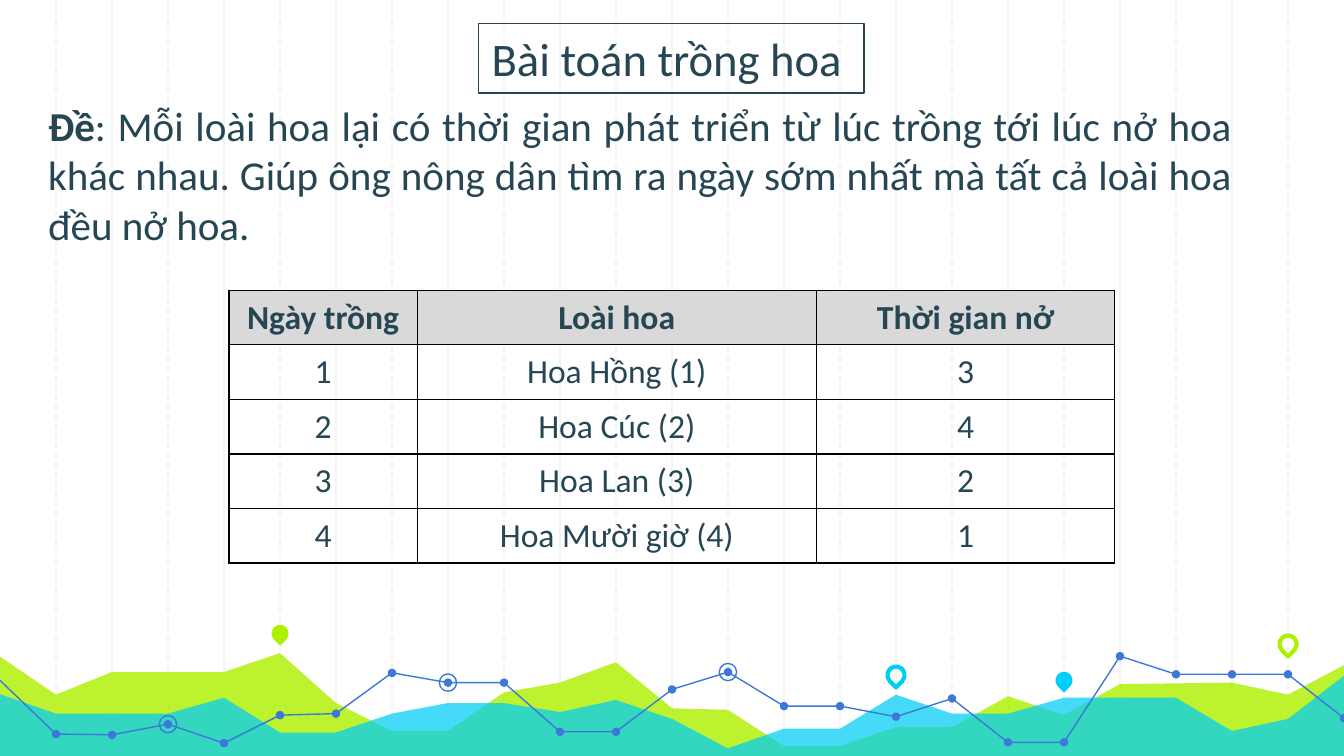
from dataclasses import dataclass

import pptx
import pptx.dml.color
import pptx.enum.dml
import pptx.enum.shapes
import pptx.enum.text
import pptx.oxml
import pptx.oxml.ns
import pptx.util
from pptx.enum.shapes import MSO_SHAPE
from pptx.enum.text import PP_ALIGN

RGBColor = pptx.dml.color.RGBColor
INK = RGBColor(0x26, 0x46, 0x53)
LIME = RGBColor(0xAF, 0xF0, 0x00)
CYAN = RGBColor(0x00, 0xCE, 0xF6)
BLUE = RGBColor(0x3C, 0x78, 0xD8)
GRID_GREY = RGBColor(0xF3, 0xF3, 0xF3)
HEADER_GREY = RGBColor(0xD9, 0xD9, 0xD9)

WIDTH, HEIGHT = pptx.util.Inches(10), pptx.util.Inches(5.625)
COLUMNS, ROWS = 24, 100
OVERHANG = 0.05  # columns that the landscape runs past each edge


@dataclass
class Ridge:
    color: RGBColor
    opacity: int
    points: list[tuple[float, float]]


@dataclass
class Marker:
    column: float
    row: float
    color: RGBColor
    size: float = 0.31
    preset: MSO_SHAPE = MSO_SHAPE.TEAR
    rotation: float = 135
    outline: float = 0  # points; 0 means a filled marker


RIDGES = [
    Ridge(LIME, 82, [
        (-OVERHANG, 86.6), (1, 91.9), (2, 88.9), (4, 88.9), (5, 86.4), (6, 93), (7, 96.7),
        (8, 96.7), (9, 91.6), (10, 90.3), (11, 87.6), (12, 93.7), (13, 93.9), (14, 98.7),
        (15, 98.7), (16, 96.2), (17, 96.2), (18, 92.1), (19, 94.6), (20, 90.5), (22, 90.3),
        (23, 91.9), (COLUMNS + OVERHANG, 87.8)]),
    Ridge(CYAN, 73, [
        (-OVERHANG, 91.7), (1, 94.4), (3, 94.4), (4, 92.3), (5, 96.9), (6, 96.9), (7, 94.4),
        (8, 93), (9, 93), (10, 94.2), (11, 92.6), (12, 95.1), (13, 99), (14, 96.4),
        (15, 96.4), (16, 91.9), (17, 94.4), (18, 94.4), (19, 92.3), (21, 92.3), (22, 96.7),
        (23, 95.1), (COLUMNS + OVERHANG, 89.1)]),
]
# Row of the blue line at each grid column
LINE_ROWS = [90, 97.1, 97.2, 95.8, 98.3, 94.6, 94.4, 89, 90.3, 90.3, 96.8, 96.8, 91.2,
             88.9, 93.4, 93.4, 94.8, 92.4, 98.2, 98.2, 86.8, 89.2, 89.2, 89.2, 95]
LINE_SECTIONS = [(0, 11), (11, 20), (20, 24)]
RINGED_COLUMNS = [3, 8, 13]
PINS = [
    Marker(5, 83.8, LIME),
    Marker(16, 89.3, CYAN, outline=2.25),
    Marker(19, 90, CYAN),
    Marker(23, 85.2, LIME, outline=2.25),
]
TABLE_COLUMNS = [3.36, 7.13, 5.33]
TABLE_ROW = 7.22
TABLE_TEXT = [
    ("Ngày trồng", "Loài hoa", "Thời gian nở"),
    ("1", "Hoa Hồng (1)", "3"),
    ("2", "Hoa Cúc (2)", "4"),
    ("3", "Hoa Lan (3)", "2"),
    ("4", "Hoa Mười giờ (4)", "1"),
]


def across(columns: float) -> int:
    return round(WIDTH * columns / COLUMNS)


def down(rows: float) -> int:
    return round(HEIGHT * rows / ROWS)


def add_text(paragraph, text: str, *, size: float, bold: bool = False,
             align: PP_ALIGN = PP_ALIGN.LEFT) -> None:
    paragraph.alignment = align
    run = paragraph.add_run()
    run.text = text
    run.font.name = "Calibri"
    run.font.size = pptx.util.Pt(size)
    run.font.bold = bold
    run.font.color.rgb = INK


def draw_grid_lines(slide) -> None:
    """Solid lines on even columns, dashed ones on odd columns."""
    for column in [*range(2, COLUMNS, 2), *range(1, COLUMNS, 2)]:
        connector = slide.shapes.add_connector(
            pptx.enum.shapes.MSO_CONNECTOR.STRAIGHT, across(column), 0, across(column), HEIGHT)
        connector.line.color.rgb = GRID_GREY
        connector.line.width = pptx.util.Pt(0.75)
        if column % 2:
            connector.line.dash_style = pptx.enum.dml.MSO_LINE.DASH
        connector.element.spPr.append(pptx.oxml.parse_xml(
            f'<a:effectLst {pptx.oxml.ns.nsdecls("a")}/>'))


def draw_freeform(slide, points: list[tuple[float, float]], close: bool):
    start, *others = [(across(column), down(row)) for column, row in points]
    builder = slide.shapes.build_freeform(*start, scale=1)
    builder.add_line_segments(others, close=close)
    shape = builder.convert_to_shape()
    shape.shadow.inherit = False
    return shape


def draw_ridge(slide, ridge: Ridge) -> None:
    base = [(COLUMNS + OVERHANG, ROWS), (-OVERHANG, ROWS)]
    shape = draw_freeform(slide, ridge.points + base, close=True)
    shape.line.fill.background()
    shape.fill.solid()
    shape.fill.fore_color.rgb = ridge.color
    color = shape.element.spPr.find(pptx.oxml.ns.qn("a:solidFill"))[0]
    color.append(pptx.oxml.parse_xml(
        f'<a:alpha {pptx.oxml.ns.nsdecls("a")} val="{ridge.opacity * 1000}"/>'))


def draw_blue_line(slide, first: int, last: int) -> None:
    points = [(column, LINE_ROWS[column]) for column in range(first, last + 1)]
    shape = draw_freeform(slide, points, close=False)
    shape.fill.background()
    shape.line.color.rgb = BLUE
    shape.line.width = pptx.util.Pt(0.75)


def draw_marker(slide, marker: Marker) -> None:
    size = across(marker.size)
    shape = slide.shapes.add_shape(
        marker.preset, across(marker.column) - size // 2, down(marker.row) - size // 2, size, size)
    shape.rotation = marker.rotation
    shape.shadow.inherit = False
    if marker.outline:
        shape.fill.background()
        shape.line.color.rgb = marker.color
        shape.line.width = pptx.util.Pt(marker.outline)
    else:
        shape.fill.solid()
        shape.fill.fore_color.rgb = marker.color
        shape.line.fill.background()


def place_placeholder(slide, shape, column: float, row: float, columns: float, rows: float):
    """Move a placeholder above the drawing and return its first paragraph."""
    slide.shapes.element.append(shape.element)
    shape.left, shape.top = across(column), down(row)
    shape.width, shape.height = across(columns), down(rows)
    frame = shape.text_frame
    frame.word_wrap = True
    frame.auto_size = pptx.enum.text.MSO_AUTO_SIZE.NONE
    frame.vertical_anchor = pptx.enum.text.MSO_ANCHOR.TOP
    paragraph = frame.paragraphs[0]
    paragraph.space_before = pptx.util.Pt(0)
    return paragraph


def draw_table(slide) -> None:
    table = slide.shapes.add_table(
        len(TABLE_TEXT), len(TABLE_COLUMNS), across(4.09), down(38.4),
        across(sum(TABLE_COLUMNS)), down(TABLE_ROW * len(TABLE_TEXT))).table
    table.first_row = table.horz_banding = False
    for column, width in zip(table.columns, TABLE_COLUMNS):
        column.width = across(width)
    for index, (row, texts) in enumerate(zip(table.rows, TABLE_TEXT)):
        row.height = down(TABLE_ROW)
        header = index == 0
        for cell, text in zip(row.cells, texts):
            add_text(cell.text_frame.paragraphs[0], text, size=18, bold=header,
                     align=PP_ALIGN.CENTER)
            if header:
                cell.fill.solid()
                cell.fill.fore_color.rgb = HEADER_GREY
            else:
                cell.fill.background()
            properties = cell._tc.get_or_add_tcPr()
            for position, side in enumerate(("lnL", "lnR", "lnT", "lnB")):
                properties.insert(position, pptx.oxml.parse_xml(
                    f'<a:{side} {pptx.oxml.ns.nsdecls("a")} w="9525"><a:solidFill>'
                    f'<a:srgbClr val="000000"/></a:solidFill></a:{side}>'))


def main() -> None:
    presentation = pptx.Presentation()
    presentation.slide_width, presentation.slide_height = WIDTH, HEIGHT
    slide = presentation.slides.add_slide(presentation.slide_layouts[1])
    title, body = slide.shapes.title, slide.placeholders[1]

    draw_grid_lines(slide)
    for ridge in RIDGES:
        draw_ridge(slide, ridge)
    for first, last in LINE_SECTIONS:
        draw_blue_line(slide, first, last)
    dots = [Marker(column, row, BLUE, 0.15, MSO_SHAPE.OVAL, 0)
            for column, row in enumerate(LINE_ROWS) if column > 0]
    rings = [Marker(column, LINE_ROWS[column], BLUE, 0.31, MSO_SHAPE.OVAL, 0, 0.75)
             for column in RINGED_COLUMNS]
    for marker in dots + rings + PINS:
        draw_marker(slide, marker)

    heading = place_placeholder(slide, title, 8.54, 3.1, 6.89, 9.2)
    title.line.color.rgb = INK
    title.line.width = pptx.util.Pt(0.75)
    add_text(heading, "Bài toán trồng hoa", size=25)
    problem = place_placeholder(slide, body, 0.62, 12.4, 21.63, 21.5)
    properties = problem._p.get_or_add_pPr()
    properties.set("marL", "0")
    properties.set("indent", "0")
    properties.append(pptx.oxml.parse_xml(f'<a:buNone {pptx.oxml.ns.nsdecls("a")}/>'))
    add_text(problem, "Đề", size=22, bold=True, align=PP_ALIGN.JUSTIFY)
    add_text(problem, ": Mỗi loài hoa lại có thời gian phát triển từ lúc trồng tới lúc nở hoa "
             "khác nhau. Giúp ông nông dân tìm ra ngày sớm nhất mà tất cả loài hoa đều nở hoa.",
             size=22, align=PP_ALIGN.JUSTIFY)
    draw_table(slide)
    presentation.save("out.pptx")


if __name__ == "__main__":
    main()
